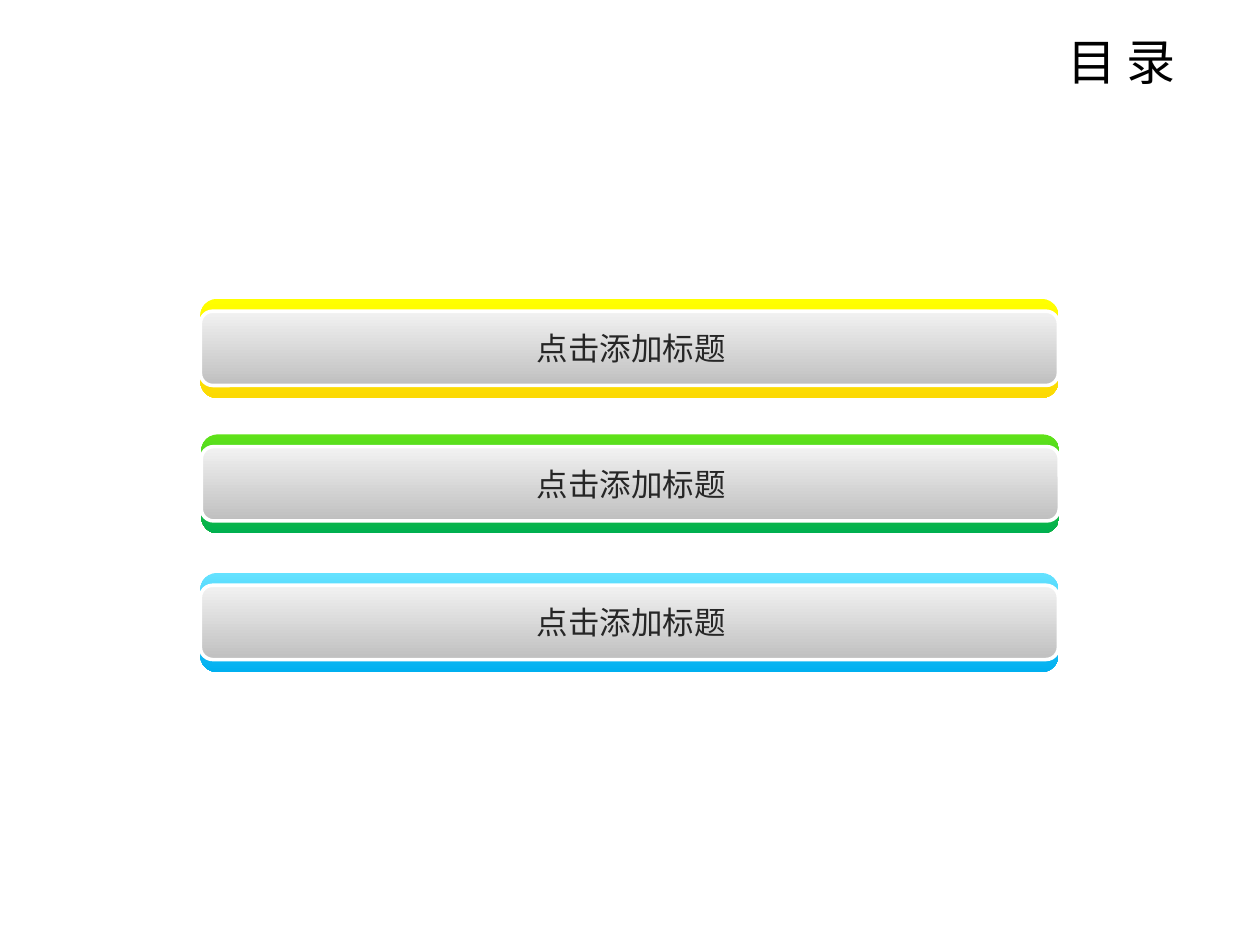
from dataclasses import dataclass
from lxml import etree
from pptx import Presentation
from pptx.dml.color import RGBColor
from pptx.enum import shapes as kinds, text as txt
from pptx.oxml import ns
from pptx.util import Pt

FONT = "Noto Sans CJK SC"
WHITE = RGBColor(0xFF, 0xFF, 0xFF)
BLACK = RGBColor(0x00, 0x00, 0x00)
INK = RGBColor(0x26, 0x26, 0x26)
SILVER = RGBColor(0xF2, 0xF2, 0xF2)
GREY = RGBColor(0xBF, 0xBF, 0xBF)
YELLOW = RGBColor(0xFF, 0xFF, 0x00)
GOLD = RGBColor(0xFC, 0xD9, 0x04)
LIME = RGBColor(0x60, 0xE2, 0x18)
GREEN = RGBColor(0x00, 0xB0, 0x50)
AQUA = RGBColor(0x65, 0xE2, 0xFF)
BLUE = RGBColor(0x00, 0xB0, 0xF0)


@dataclass(frozen=True)
class Box:
    left: float
    top: float
    width: float
    height: float

    def points(self) -> tuple:
        return Pt(self.left), Pt(self.top), Pt(self.width), Pt(self.height)


@dataclass(frozen=True)
class Entry:
    label: str
    left: float
    top: float
    light: RGBColor
    dark: RGBColor


ENTRIES = [
    Entry("点击添加标题", 114.5, 170.8, YELLOW, GOLD),
    Entry("点击添加标题", 115, 248.2, LIME, GREEN),
    Entry("点击添加标题", 114.5, 327.4, AQUA, BLUE),
]


def add_bar(group, box: Box, light: RGBColor, dark: RGBColor):
    """Add a rounded bar shaded from light at the top to dark below."""
    bar = group.shapes.add_shape(kinds.MSO_SHAPE.ROUNDED_RECTANGLE, *box.points())
    bar.adjustments[0] = 0.167
    bar.shadow.inherit = False
    bar.fill.gradient()
    bar.fill.gradient_angle = 270
    for stop, color in zip(bar.fill.gradient_stops, (light, dark)):
        stop.color.rgb = color
    bar.line.fill.background()
    return bar


def add_text(parent, box: Box, words: str, size: float, color: RGBColor,
             align: txt.PP_ALIGN) -> None:
    frame = parent.shapes.add_textbox(*box.points()).text_frame
    frame.word_wrap = True
    frame.auto_size = txt.MSO_AUTO_SIZE.SHAPE_TO_FIT_TEXT
    para = frame.paragraphs[0]
    para.alignment = align
    run = para.add_run()
    run.text = words
    run.font.size = Pt(size)
    run.font.color.rgb = color
    run.font.name = FONT
    # Chinese glyphs take the East Asian typeface
    etree.SubElement(run.font._element, ns.qn("a:ea"), typeface=FONT)


def add_entry(slide, entry: Entry) -> None:
    group = slide.shapes.add_group_shape()
    # Coloured base
    add_bar(group, Box(entry.left, entry.top, 490.3, 56.6), entry.light, entry.dark)
    # Grey face with a white rim
    face = add_bar(group, Box(entry.left, entry.top + 7, 490.3, 42.5), SILVER, GREY)
    face.line.color.rgb = WHITE
    face.line.width = Pt(2)
    # Label
    add_text(group, Box(252.7, entry.top + 13.7, 216, 29), entry.label, 18, INK,
             txt.PP_ALIGN.CENTER)


def main() -> None:
    deck = Presentation()
    deck.slide_width, deck.slide_height = Pt(720), Pt(540)
    slide = deck.slides.add_slide(deck.slide_layouts[6])
    slide.background.fill.solid()
    slide.background.fill.fore_color.rgb = WHITE

    # Contents list
    for entry in ENTRIES:
        add_entry(slide, entry)

    # Heading
    add_text(slide, Box(475.2, 14.4, 203.8, 41), "目 录", 28, BLACK, txt.PP_ALIGN.RIGHT)
    deck.save("out.pptx")


if __name__ == "__main__":
    main()
